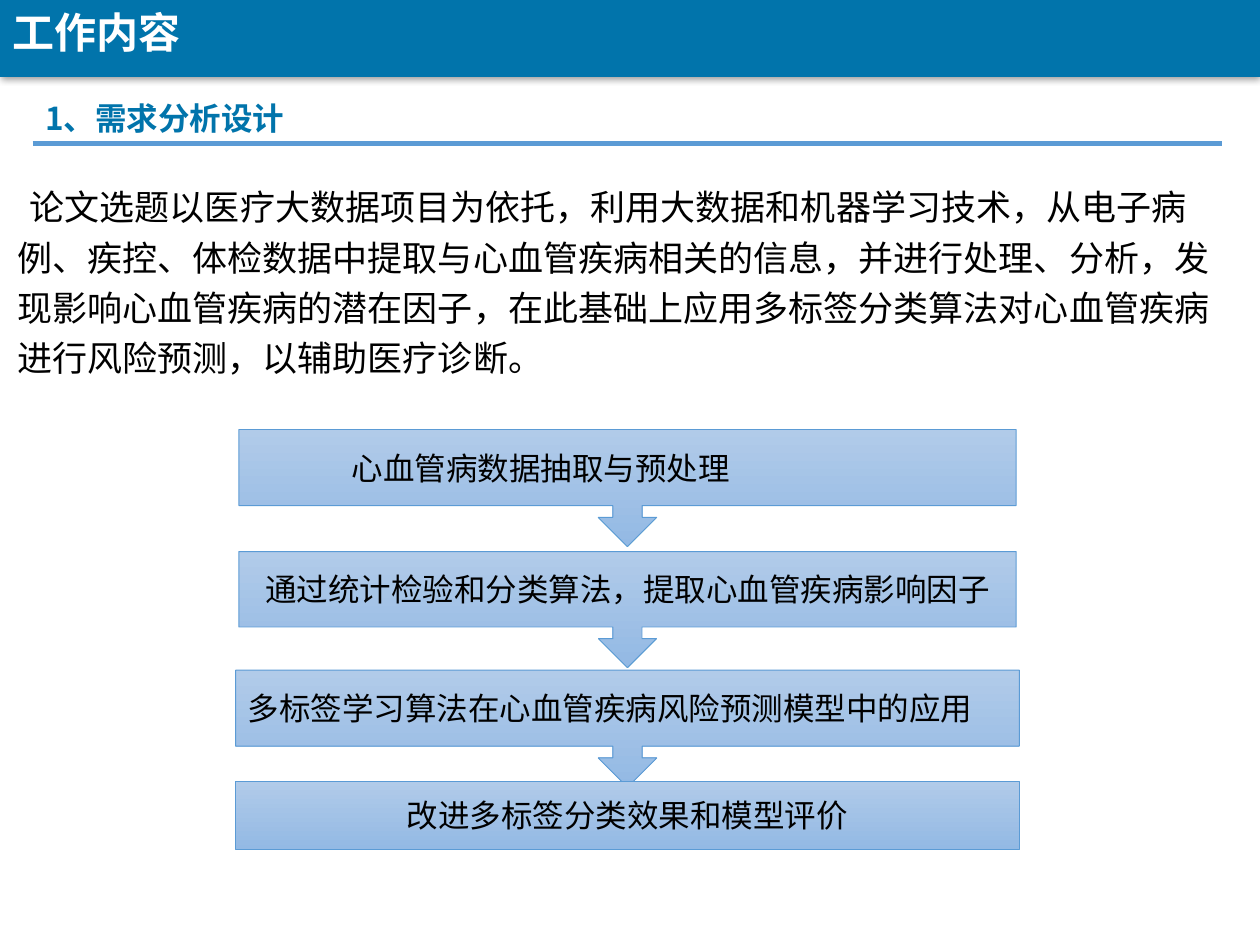
from dataclasses import dataclass

from lxml.etree import SubElement
from pptx import Presentation
from pptx.dml.color import RGBColor
from pptx.enum.shapes import MSO_CONNECTOR, MSO_SHAPE
from pptx.enum.text import MSO_ANCHOR, MSO_AUTO_SIZE, PP_ALIGN
from pptx.oxml.ns import qn
from pptx.util import Cm, Pt

BLUE = "0174AB"
LIGHT_BLUE = "5B9BD5"
BLACK = "000000"


@dataclass
class Box:
    left: float
    top: float
    width: float
    height: float

    def inner(self, left, top, width, height):
        return Box(self.left + left, self.top + top, width, height)

    def lengths(self):
        return Cm(self.left), Cm(self.top), Cm(self.width), Cm(self.height)


def color(value):
    return RGBColor.from_string(value)


def write(frame, text, size, ink=BLACK, font="Arial", bold=False,
          align=PP_ALIGN.LEFT, margin=0, indent=0):
    frame.word_wrap = True
    para = frame.paragraphs[0]
    para.text = text
    para.alignment = align
    para.font.size = Pt(size)
    para.font.name = font
    para.font.bold = bold
    para.font.color.rgb = color(ink)
    properties = para._p.get_or_add_pPr()
    properties.set("marL", str(Cm(margin)))
    properties.set("indent", str(Cm(indent)))
    return para


def add_text(page, box, text, size, **style):
    frame = page.shapes.add_textbox(*box.lengths()).text_frame
    para = write(frame, text, size, **style)
    frame.auto_size = MSO_AUTO_SIZE.SHAPE_TO_FIT_TEXT
    return para


def add_header(page, box, title):
    band = page.shapes.add_shape(MSO_SHAPE.RECTANGLE, *box.lengths())
    band.fill.solid()
    band.fill.fore_color.rgb = color(BLUE)
    band.line.fill.background()
    band.shadow.inherit = False
    effects = band._element.spPr.find(qn("a:effectLst"))
    shadow = SubElement(effects, qn("a:outerShdw"), blurRad=str(Pt(4)),
                        dist=str(Pt(1)), dir="5400000", rotWithShape="0")
    shade = SubElement(shadow, qn("a:srgbClr"), val=BLACK)
    SubElement(shade, qn("a:alpha"), val="40000")
    add_text(page, box.inner(0, 0, 9.78, 1.27), title, 24, ink="FFFFFF", bold=True)


def add_section_heading(page, box, text):
    add_text(page, box.inner(0, 0, 22.38, 1.02), text, 18, ink=BLUE,
             font="Noto Sans CJK SC", bold=True, margin=0.15)
    left, right, bottom = box.left + 0.15, box.left + box.width, box.top + box.height
    rule = page.shapes.add_connector(MSO_CONNECTOR.STRAIGHT, Cm(left), Cm(bottom),
                                     Cm(right), Cm(bottom))
    rule.line.color.rgb = color(LIGHT_BLUE)
    rule.line.width = Pt(3)
    SubElement(rule._element.spPr, qn("a:effectLst"))


def add_summary(page, box, text):
    para = add_text(page, box, text, 20, indent=0.25)
    para.line_spacing = 1.2


def add_step(page, box, kind, text, **style):
    step = page.shapes.add_shape(kind, *box.lengths())
    step.shadow.inherit = False
    step.fill.gradient()
    step.fill.gradient_angle = 270
    for stop, tint in zip(step.fill.gradient_stops, ("B1CBE9", "93B9E4")):
        stop.color.rgb = color(tint)
    step.line.color.rgb = color(LIGHT_BLUE)
    step.line.width = Pt(0.5)
    step.text_frame.vertical_anchor = MSO_ANCHOR.MIDDLE
    write(step.text_frame, text, 18, **style)


def add_process(page, box):
    callout = MSO_SHAPE.DOWN_ARROW_CALLOUT
    process = MSO_SHAPE.FLOWCHART_PROCESS
    centered = {"align": PP_ALIGN.CENTER}
    steps = [
        (0, 15.67, 2.36, callout, "心血管病数据抽取与预处理", {"margin": 2.03}),
        (2.46, 15.67, 2.34, callout,
         "通过统计检验和分类算法，提取心血管疾病影响因子", centered),
        (4.85, 15.8, 2.36, callout,
         "多标签学习算法在心血管疾病风险预测模型中的应用", {}),
        (7.09, 15.8, 1.37, process, "改进多标签分类效果和模型评价",
         {"font": "Calibri", **centered}),
    ]
    for top, width, height, kind, text, style in steps:
        left = (box.width - width) / 2
        add_step(page, box.inner(left, top, width, height), kind, text, **style)


def main():
    deck = Presentation()
    deck.slide_width, deck.slide_height = Cm(25.4), Cm(19.05)
    page = deck.slides.add_slide(deck.slide_layouts[6])
    add_header(page, Box(0, 0, 25.4, 1.55), "工作内容")
    add_summary(
        page, Box(0.1, 3.45, 24.54, 4.37),
        "论文选题以医疗大数据项目为依托，利用大数据和机器学习技术，"
        "从电子病例、疾控、体检数据中提取与心血管疾病相关的信息，并进行处理、分析，"
        "发现影响心血管疾病的潜在因子，在此基础上应用多标签分类算法对心血管疾病进行风险预测，"
        "以辅助医疗诊断。")
    add_process(page, Box(4.75, 8.66, 15.8, 8.46))
    add_section_heading(page, Box(0.51, 1.88, 24.13, 1.02), "1、需求分析设计")
    deck.save("out.pptx")


if __name__ == "__main__":
    main()
